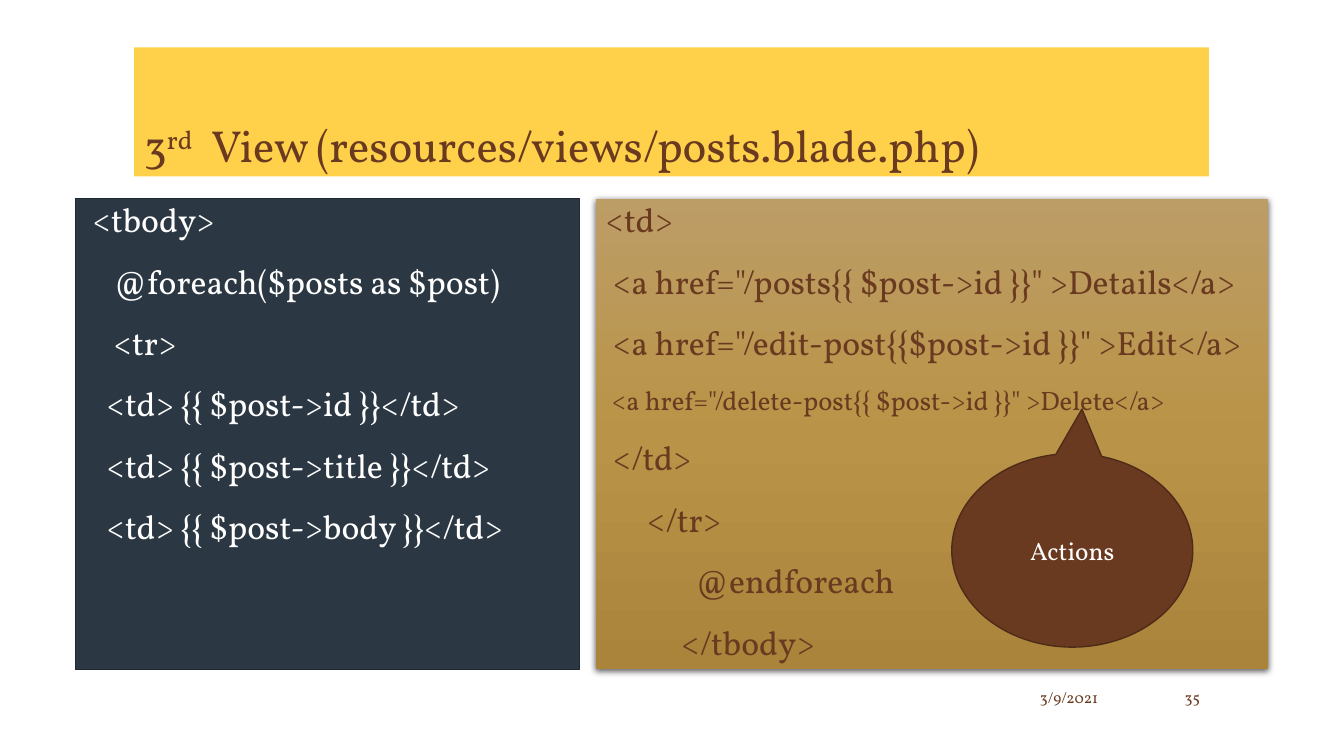
"""Build the slide that shows the third view of the posts page."""
import copy

import pptx
import pptx.dml.color
import pptx.enum.shapes
import pptx.enum.text
import pptx.oxml
import pptx.oxml.ns
import pptx.util
from pptx.util import Inches

SHAPE = pptx.enum.shapes.MSO_SHAPE
ANCHOR = pptx.enum.text.MSO_ANCHOR
ALIGN = pptx.enum.text.PP_ALIGN
BROWN, WHITE = "6A3A20", "FFFFFF"


def color(value):
    return pptx.dml.color.RGBColor.from_string(value)


def apply(target, values):
    for name, value in values.items():
        setattr(target, name, value)


class SlideBuilder:
    font_name = "Vollkorn"
    code_spacing = {"line_spacing": 0.9, "space_before": pptx.util.Pt(18)}

    def __init__(self, slide):
        self.slide = slide

    def box(self, kind, bounds, fill, line=None):
        shape = self.slide.shapes.add_shape(kind, *map(Inches, bounds))
        shape.shadow.inherit = False
        if isinstance(fill, str):
            shape.fill.solid()
            shape.fill.fore_color.rgb = color(fill)
        else:
            self.gradient(shape, fill)
        if line:
            shape.line.color.rgb = color(line)
            shape.line.width = pptx.util.Pt(1)
        else:
            shape.line.fill.background()
        return shape

    def gradient(self, shape, colors):
        shape.fill.gradient()
        shape.fill.gradient_angle = 270
        stops = shape._element.spPr.find(".//" + pptx.oxml.ns.qn("a:gsLst"))
        stops.append(copy.deepcopy(stops[0]))
        for index, stop in enumerate(shape.fill.gradient_stops):
            stop.position = index / (len(colors) - 1)
            stop.color.rgb = color(colors[index])

    def shadow(self, shape):
        effects = shape._element.spPr.find(pptx.oxml.ns.qn("a:effectLst"))
        effects.append(pptx.oxml.parse_xml(
            f'<a:outerShdw {pptx.oxml.ns.nsdecls("a")} blurRad="57150" dist="19050" dir="5400000" '
            'algn="ctr" rotWithShape="0"><a:srgbClr val="000000"><a:alpha val="63000"/>'
            '</a:srgbClr></a:outerShdw>'))

    def frame(self, shape, anchor):
        apply(shape.text_frame, {"word_wrap": True, "vertical_anchor": anchor})
        return shape.text_frame

    def run(self, paragraph, text, size, text_color, **attributes):
        run = paragraph.add_run()
        run.text = text
        apply(run.font, {"name": self.font_name, "size": pptx.util.Pt(size)})
        run.font.color.rgb = color(text_color)
        for name, value in attributes.items():
            run.font._element.set(name, value)

    def label(self, shape, text, size, text_color, alignment):
        paragraph = self.frame(shape, ANCHOR.MIDDLE).paragraphs[0]
        paragraph.alignment = alignment
        self.run(paragraph, text, size, text_color)

    def footer(self, bounds, text):
        shape = self.slide.shapes.add_textbox(*map(Inches, bounds))
        self.label(shape, text, 11, BROWN, ALIGN.RIGHT)

    def code(self, shape, lines, text_color):
        frame = self.frame(shape, ANCHOR.TOP)
        for index, (indent, text, size) in enumerate(lines):
            paragraph = frame.add_paragraph() if index else frame.paragraphs[0]
            apply(paragraph, {"alignment": ALIGN.LEFT, **self.code_spacing})
            paragraph._p.get_or_add_pPr().set("marL", str(Inches(indent)))
            self.run(paragraph, text, size, text_color)


def main():
    presentation = pptx.Presentation()
    apply(presentation, {"slide_width": Inches(13.33), "slide_height": Inches(7.5)})
    builder = SlideBuilder(presentation.slides.add_slide(presentation.slide_layouts[6]))

    title = builder.box(SHAPE.RECTANGLE, (1.33, 0.47, 10.66, 1.28), "FFD14B")
    heading = builder.frame(title, ANCHOR.BOTTOM).paragraphs[0]
    heading.alignment = ALIGN.LEFT
    builder.run(heading, "3", 32, BROWN)
    builder.run(heading, "rd", 32, BROWN, baseline="30000")
    builder.run(heading, " ", 32, BROWN, spc="700")
    builder.run(heading, "View (resources/views/posts.blade.php)", 32, BROWN)

    table_code = builder.box(SHAPE.RECTANGLE, (0.75, 1.97, 5, 4.67), "2B3742", "202931")
    builder.code(table_code, [
        (0.07, "<tbody>", 24),
        (0.28, "@foreach($posts as $post)", 24),
        (0.28, "<tr>", 24),
        *((0.21, f"<td> {{{{ $post->{field} }}}}</td>", 24) for field in ("id", "title", "body")),
    ], WHITE)

    builder.footer((9.66, 6.75, 1.33, 0.33), "3/9/2021")
    builder.footer((11.22, 6.75, 0.78, 0.33), "35")

    action_code = builder.box(SHAPE.RECTANGLE, (5.91, 1.97, 6.67, 4.67),
                              ["BC9D66", "B99347", "AA843A"])
    builder.shadow(action_code)
    builder.code(action_code, [
        (0, "<td>", 24),
        (0.07, '<a href="/posts{{ $post->id }}" >Details</a>', 24),
        (0.07, '<a href="/edit-post{{$post->id }}" >Edit</a>', 24),
        (0.06, '<a href="/delete-post{{ $post->id }}" >Delete</a>', 19),
        (0.07, "</td>", 24),
        (0.41, "</tr>", 24),
        (0.89, "@endforeach", 24),
        (0.75, "</tbody>", 24),
    ], BROWN)

    callout = builder.box(SHAPE.OVAL_CALLOUT, (9.44, 4.5, 2.39, 1.92), BROWN, "4E2B18")
    callout.adjustments[0] = 0.04
    callout.adjustments[1] = -0.73
    builder.label(callout, "Actions", 18, WHITE, ALIGN.CENTER)

    presentation.save("out.pptx")


if __name__ == "__main__":
    main()
